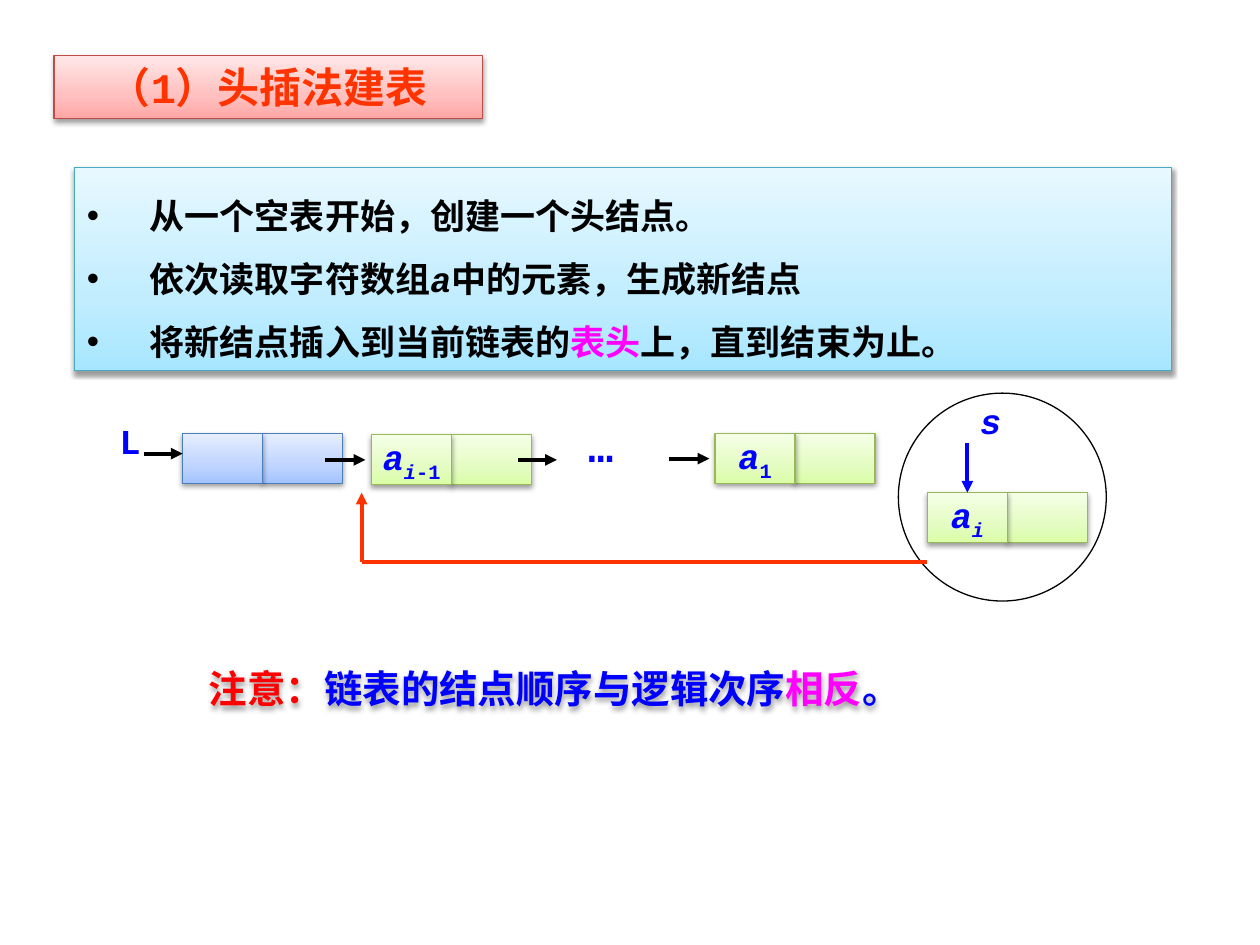
from copy import deepcopy
from lxml.etree import SubElement
from pptx import Presentation
from pptx.dml.color import RGBColor
from pptx.enum.shapes import MSO_CONNECTOR as Connector, MSO_SHAPE as Shape
from pptx.enum.text import MSO_ANCHOR as Anchor, MSO_AUTO_SIZE as AutoSize, PP_ALIGN as Align
from pptx.oxml.ns import qn
from pptx.util import Inches, Pt

THEME = {
    "font": "Courier New",
    "sizes": {"body": 20, "note": 22, "title": 24},
    "colors": {"black": "000000", "blue": "0000FF", "magenta": "FF00FF",
               "red": "FF0000", "orange": "FF3300"},
    "gradients": {
        "cyan": ("46AAC5", "A7E6FF", "C1EDFF", "E7F8FF"),
        "blue": ("4B7EBC", "A4C4FF", "BFD4FF", "E6EEFF"),
        "green": ("98B955", "DAFDA7", "E4FCC2", "F5FFE7"),
        "red": ("BF4C48", "FFA6A5", "FFC0BF", "FFE7E7"),
    },
    "stops": (0, 0.35, 1),
    "thin": 0.75,
    "thick": 2.25,
}

WIDTH, HEIGHT = 10, 7.5
COLUMNS, ROWS = 100, 75
CELL = (6.35, 3.95)

TITLE = [[("（1）头插法建表", "orange", "")]]
STEPS = [
    [("从一个空表开始，创建一个头结点。", "black", "")],
    [("依次读取字符数组", "black", ""), ("a", "black", "italic"),
     ("中的元素，生成新结点", "black", "")],
    [("将新结点插入到当前链表的", "black", ""), ("表头", "magenta", ""),
     ("上，直到结束为止。", "black", "")],
]
NOTE = [[("注意：", "red", ""), ("链表的结点顺序与逻辑次序", "blue", ""),
         ("相反", "magenta", ""), ("。", "blue", "")]]
ELEMENT = ("a", "blue", "italic")
NODES = {
    "head": (14.5, 34.4, "blue", []),
    "previous": (29.5, 34.5, "green",
                 [ELEMENT, ("i", "blue", "italic sub"), ("-1", "blue", "sub")]),
    "first": (56.75, 34.4, "green", [ELEMENT, ("1", "blue", "sub")]),
    "new": (73.6, 39.1, "green", [ELEMENT, ("i", "blue", "italic sub")]),
}
LABELS = [
    ("L", "", "body", (8.5, 32.8, 5.5, 4.3)),
    ("…", "", "title", (45.7, 32.9, 5.5, 5)),
    ("s", "italic", "body", (76.8, 31.2, 6.3, 4.3)),
]
LINKS = [
    ((11.4, 36), (14.5, 36)),
    ((25.8, 36.5), (29, 36.5)),
    ((41.1, 36.5), (44.2, 36.5)),
    ((53.1, 36.4), (56.3, 36.4)),
]
CORNER = (28.7, 44.6)

presentation = Presentation()
presentation.slide_width, presentation.slide_height = Inches(WIDTH), Inches(HEIGHT)
slide = presentation.slides.add_slide(presentation.slide_layouts[6])


def grid(*lengths):
    units = (WIDTH / COLUMNS, HEIGHT / ROWS)
    return [Inches(length * units[index % 2]) for index, length in enumerate(lengths)]


def set_all(target, values):
    for name, value in values.items():
        setattr(target, name, value)


def color(name):
    return RGBColor.from_string(THEME["colors"][name])


def add_shadow(shape):
    shape.shadow.inherit = False
    effects = shape._element.spPr.find(qn("a:effectLst"))
    shadow = SubElement(effects, qn("a:outerShdw"), blurRad=str(Pt(3.1)),
                        dist=str(Pt(1.6)), dir="5400000", rotWithShape="0")
    tone = SubElement(shadow, qn("a:srgbClr"), val=THEME["colors"]["black"])
    SubElement(tone, qn("a:alpha"), val="38000")


def add_bullet(paragraph):
    properties = paragraph._p.get_or_add_pPr()
    for name, value in {"marL": Inches(0.5), "indent": -Inches(0.5)}.items():
        properties.set(name, str(value))
    SubElement(properties, qn("a:buFont"), typeface="Arial")
    SubElement(properties, qn("a:buChar"), char="•")


def write(shape, paragraphs, size, bullets=False, frame=None, layout=None):
    text_frame = shape.text_frame
    set_all(text_frame, {"word_wrap": True, "vertical_anchor": Anchor.TOP,
                         "auto_size": AutoSize.SHAPE_TO_FIT_TEXT, **(frame or {})})
    for index, runs in enumerate(paragraphs):
        paragraph = text_frame.add_paragraph() if index else text_frame.paragraphs[0]
        set_all(paragraph, {"alignment": Align.LEFT, **(layout or {})})
        if bullets:
            add_bullet(paragraph)
        for text, tone, style in runs:
            run = paragraph.add_run()
            run.text = text
            set_all(run.font, {"name": THEME["font"], "size": Pt(THEME["sizes"][size]),
                               "bold": True, "italic": "italic" in style})
            run.font.color.rgb = color(tone)
            if "sub" in style:
                run._r.get_or_add_rPr().set("baseline", "-25000")


def add_panel(box, gradient):
    outline, *tones = THEME["gradients"][gradient]
    shape = slide.shapes.add_shape(Shape.RECTANGLE, *grid(*box))
    shape.line.color.rgb = RGBColor.from_string(outline)
    shape.line.width = Pt(THEME["thin"])
    shape.fill.gradient()
    shape.fill.gradient_angle = 90
    stop_list = next(shape._element.spPr.iter(qn("a:gsLst")))
    stop_list.append(deepcopy(stop_list[0]))
    for stop, position, tone in zip(shape.fill.gradient_stops, THEME["stops"], tones):
        stop.position = position
        stop.color.rgb = RGBColor.from_string(tone)
    add_shadow(shape)
    return shape


def add_node(left, top, gradient, runs):
    add_panel((left + CELL[0], top, *CELL), gradient)
    data = add_panel((left, top, *CELL), gradient)
    if runs:
        write(data, [runs], "body", layout={"alignment": Align.CENTER},
              frame={"word_wrap": False, "vertical_anchor": Anchor.MIDDLE,
                     "auto_size": AutoSize.NONE})
    return data


def add_label(paragraphs, size, box):
    label = slide.shapes.add_textbox(*grid(*box))
    write(label, paragraphs, size)
    return label


def add_line(start, end, tone, arrow=True):
    line = slide.shapes.add_connector(Connector.STRAIGHT, *grid(*start, *end))
    line.line.color.rgb = color(tone)
    line.line.width = Pt(THEME["thick"])
    if arrow:
        SubElement(line.line._get_or_add_ln(), qn("a:tailEnd"), type="triangle")
    SubElement(line._element.spPr, qn("a:effectLst"))
    return line


steps = add_panel((5.9, 13.3, 87.1, 16.1), "cyan")
write(steps, STEPS, "body", bullets=True, layout={"line_spacing": 1.5})

circle = slide.shapes.add_shape(Shape.OVAL, *grid(71.3, 31.2, 16.5, 16.5))
circle.shadow.inherit = False
circle.fill.background()
circle.line.color.rgb = color("black")
circle.line.width = Pt(THEME["thin"])

cells = {name: add_node(*node) for name, node in NODES.items()}
for text, style, size, box in LABELS:
    add_label([[(text, "blue", style)]], size, box)
for start, end in LINKS:
    add_line(start, end, "black")

new_left, new_top = NODES["new"][:2]
pointer_column = new_left + CELL[0] / 2
pointer = add_line((pointer_column, 35.2), (pointer_column, new_top), "blue")
pointer.end_connect(cells["new"], 0)
add_line(CORNER, (CORNER[0], new_top), "orange")
add_line(CORNER, (new_left, CORNER[1]), "orange", arrow=False)

title = add_panel((4.3, 4.4, 34, 5), "red")
write(title, TITLE, "title", layout={"alignment": Align.CENTER})
add_shadow(add_label(NOTE, "note", (15.6, 52.3, 67.7, 4.7)))

presentation.save("out.pptx")
